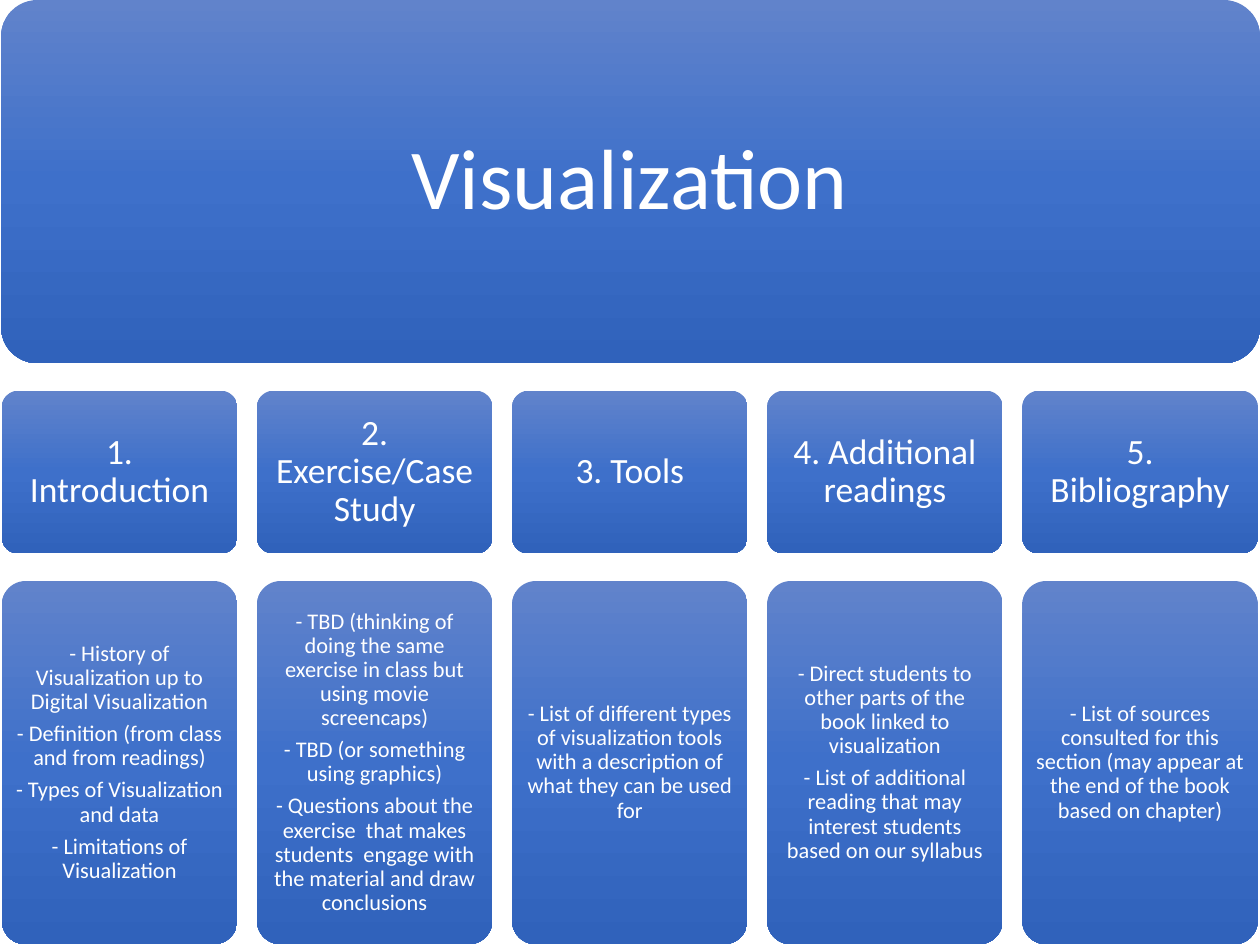
from copy import deepcopy

from pptx import Presentation
from pptx import util as u
from pptx.dml.color import RGBColor
from pptx.enum import shapes, text
from pptx.oxml.ns import qn

# Content
TOPIC = "Visualization"
SECTIONS = [
    ("1. Introduction", [
        "- History of Visualization up to Digital Visualization",
        "- Definition (from class and from readings)",
        "- Types of Visualization and data",
        "- Limitations of Visualization",
    ]),
    ("2. Exercise/Case Study", [
        "- TBD (thinking of doing the same exercise in class but using movie screencaps)",
        "- TBD (or something using graphics)",
        "- Questions about the exercise  that makes students  engage with "
        "the material and draw conclusions",
    ]),
    ("3. Tools", [
        "- List of different types of visualization tools with a description "
        "of what they can be used for",
    ]),
    ("4. Additional readings", [
        "- Direct students to other parts of the book linked to visualization",
        "- List of additional reading that may interest students based on our syllabus",
    ]),
    ("5. Bibliography", [
        "- List of sources consulted for this section (may appear at the end "
        "of the book based on chapter)",
    ]),
]

# Style
FONT = "Calibri"
WHITE = RGBColor(0xFF, 0xFF, 0xFF)
GRADIENT = [
    (0, RGBColor(0x61, 0x83, 0xCB)),
    (0.5, RGBColor(0x3E, 0x70, 0xCA)),
    (1, RGBColor(0x30, 0x62, 0xBB)),
]
CORNER = 0.1

# Layout in centimetres
SLIDE_W, SLIDE_H = 33.83, 25.37
TOPIC_BOX = (0.03, 0, 33.8, 9.75)
TOPIC_TEXT = (0.3, 0.3, 33.22, 9.19)
COLUMN_LEFT, COLUMN_STEP, COLUMN_W = 0.05, 6.85, 6.32
HEADING_TOP, HEADING_H = 10.49, 4.37
DETAIL_TOP, DETAIL_H = 15.6, 9.75


def add_panel(slide, box):
    """Add a rounded panel with the vertical blue gradient."""
    panel = slide.shapes.add_shape(
        shapes.MSO_SHAPE.ROUNDED_RECTANGLE, *map(u.Cm, box))
    panel.adjustments[0] = CORNER
    panel.shadow.inherit = False
    panel.line.fill.background()
    panel.fill.gradient()
    panel.fill.gradient_angle = 270
    stop_list = panel._element.spPr.find(qn("a:gradFill")).find(qn("a:gsLst"))
    stop_list.insert(1, deepcopy(stop_list[0]))
    for stop, (position, color) in zip(panel.fill.gradient_stops, GRADIENT):
        stop.position = position
        stop.color.rgb = color
    return panel


def write(frame, lines, size, inset):
    """Fill a frame with centred white paragraphs."""
    frame.text = "\n".join(lines)
    frame.word_wrap = True
    frame.auto_size = text.MSO_AUTO_SIZE.NONE
    frame.vertical_anchor = text.MSO_ANCHOR.MIDDLE
    frame.margin_left = frame.margin_right = u.Cm(inset)
    frame.margin_top = frame.margin_bottom = u.Cm(inset)
    for paragraph in frame.paragraphs:
        paragraph.alignment = text.PP_ALIGN.CENTER
        paragraph.line_spacing = 0.9
        paragraph.space_before = u.Pt(0)
        paragraph.space_after = u.Pt(0.35 * size)
        for run in paragraph.runs:
            run.font.name = FONT
            run.font.size = u.Pt(size)
            run.font.color.rgb = WHITE


def main():
    prs = Presentation()
    prs.slide_width, prs.slide_height = u.Cm(SLIDE_W), u.Cm(SLIDE_H)
    slide = prs.slides.add_slide(prs.slide_layouts[5])

    # Topic banner, with the title brought in front of its panel
    add_panel(slide, TOPIC_BOX)
    title = slide.shapes.title
    title.left, title.top, title.width, title.height = map(u.Cm, TOPIC_TEXT)
    write(title.text_frame, [TOPIC], 65, 0.69)
    slide.shapes._spTree.append(title._element)

    # One column per section: heading above details
    for index, (heading, details) in enumerate(SECTIONS):
        left = COLUMN_LEFT + index * COLUMN_STEP
        heading_panel = add_panel(slide, (left, HEADING_TOP, COLUMN_W, HEADING_H))
        write(heading_panel.text_frame, [heading], 27, 0.28)
        detail_panel = add_panel(slide, (left, DETAIL_TOP, COLUMN_W, DETAIL_H))
        write(detail_panel.text_frame, details, 17, 0.18)

    prs.save("out.pptx")


if __name__ == "__main__":
    main()
